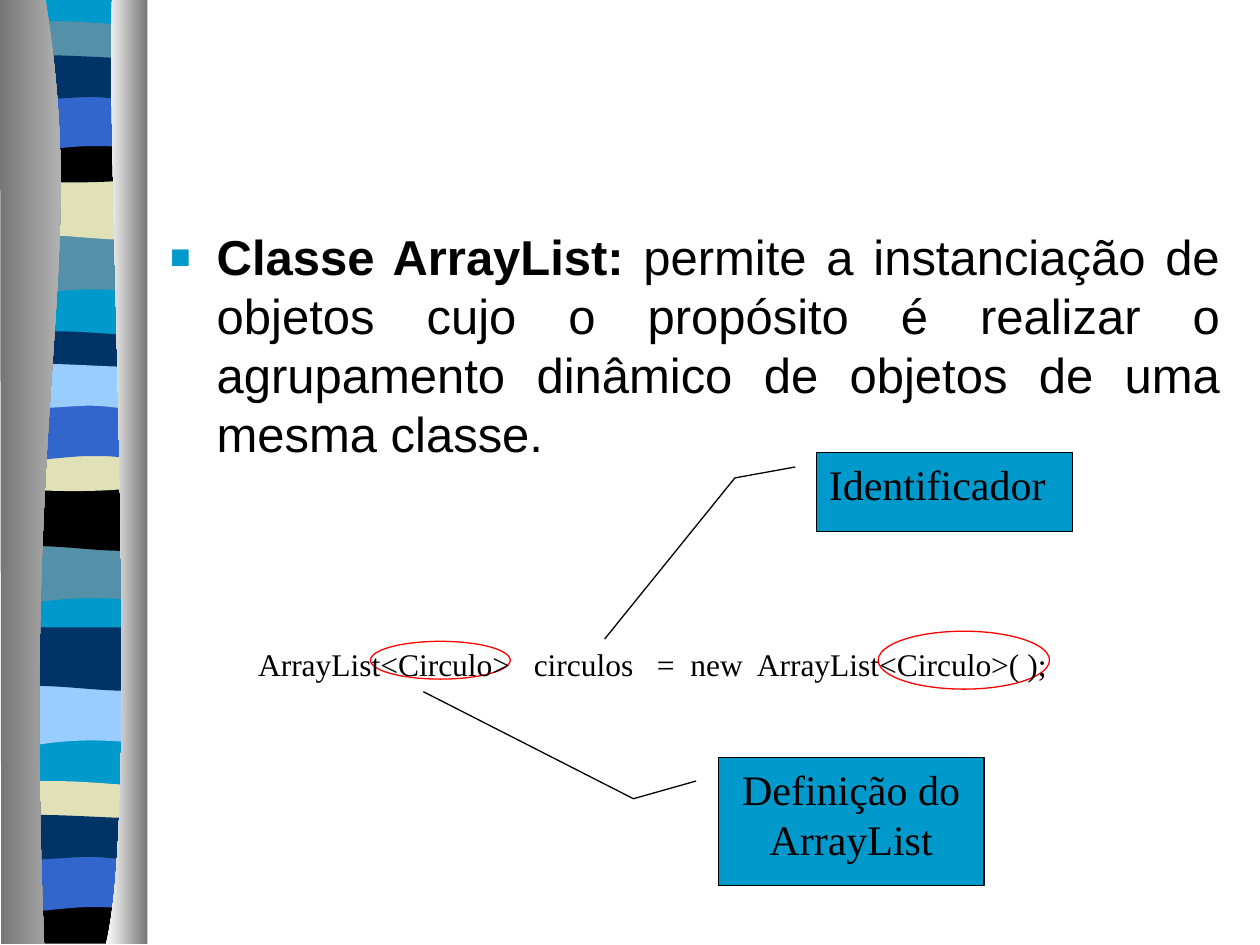
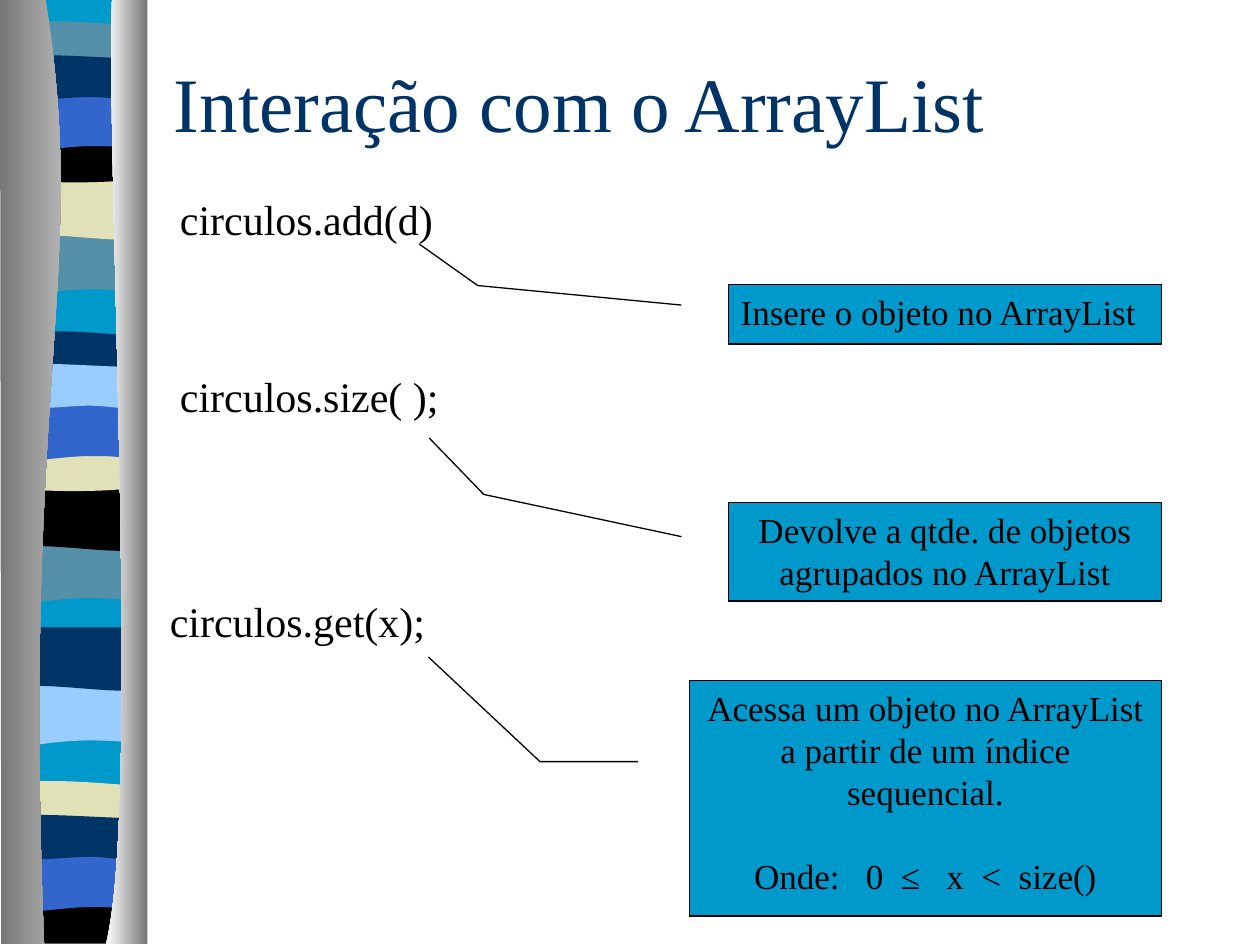
from dataclasses import dataclass

import pptx
import pptx.dml.color
import pptx.enum.shapes
import pptx.enum.text
import pptx.oxml
import pptx.oxml.ns
import pptx.util

Inches = pptx.util.Inches
Pt = pptx.util.Pt
Align = pptx.enum.text.PP_ALIGN
Anchor = pptx.enum.text.MSO_ANCHOR
Shape = pptx.enum.shapes.MSO_SHAPE
qn = pptx.oxml.ns.qn

COLORS = {
    "cyan": "0099CC",
    "teal": "5490A8",
    "sand": "E1E1B7",
    "black": "000000",
    "blue": "3366CC",
    "navy": "003366",
    "sky": "99CCFF",
    "red": "FF0000",
    "gray": "767676",
    "silver": "D0D0D0",
    "white": "FFFFFF",
}
SERIF = "Times New Roman"
SANS = "Arial"

Point = tuple[float, float]
Outline = list[tuple[Point, ...]]

WAVES: dict[str, Outline] = {
    "dip": [((1.07, 0),), ((1.07, 0.47),),
            ((0.33, 0.39), (0.18, 0.55), (0, 0.47)), ((0, 0),)],
    "swell": [((1.07, 0),), ((1.07, 0.48),),
              ((0.9, 0.55), (0.33, 0.42), (0, 0.48)), ((0, 0),)],
    "ribbon": [((1.07, 0.05),), ((1.07, 0.29),),
               ((0.9, 0.33), (0.18, 0.33), (0, 0.29)), ((0, 0.05),),
               ((0.07, 0), (0.24, 0.01), (0.42, 0.01)),
               ((0.6, 0.01), (0.94, 0.04), (1.07, 0.05))],
    "bowl": [((1.07, 0),), ((1.07, 0.33),),
             ((0.89, 0.38), (0.18, 0.38), (0, 0.33)), ((0, 0),),
             ((0.66, 0.05), (0.85, 0), (1.07, 0))],
    "base": [((1.07, 0),), ((1.07, 7.47),), ((0, 7.47),), ((0, 0),)],
    "floor": [((1.07, 0),), ((1.07, 0.37),), ((0, 0.37),), ((0, 0),),
              ((0.66, 0.05), (0.85, 0), (1.07, 0))],
    "arch": [((1.07, 0),), ((1.07, 0.47),),
             ((0.91, 0.42), (0.84, 0.42), (0.66, 0.42)),
             ((0.48, 0.42), (0.17, 0.47), (0, 0.47)), ((0, 0),)],
    "flag": [((1.07, 0.05),), ((1.07, 0.36),),
             ((1.01, 0.41), (0.84, 0.36), (0.66, 0.36)),
             ((0.48, 0.36), (0.11, 0.41), (0, 0.36)), ((0, 0.05),),
             ((0.15, 0), (0.73, 0.05), (0.91, 0.05)),
             ((1.09, 0.05), (1.04, 0.05), (1.07, 0.05))],
}
LEFT: Outline = [((0.36, 0),), ((0.71, 2.16), (0.17, 2.96), (0.35, 7.49)),
                 ((0.01, 7.49),), ((0, 0),)]
RIGHT: Outline = [((0.89, 0),), ((0.84, 1.25), (1.12, 6.46), (0.84, 7.49)),
                  ((1.17, 7.49),), ((1.17, 0),)]


@dataclass
class Band:
    wave: str
    top: float
    color: str
    left: float = 0.05


@dataclass
class Label:
    text: str
    left: float
    top: float
    width: float
    height: float
    size: int


@dataclass
class Callout:
    lines: list[str]
    left: float
    top: float
    width: float
    height: float
    size: int
    bends: list[float]
    align: Align = Align.CENTER


@dataclass
class Ring:
    left: float
    top: float
    width: float
    height: float


BANDS = [
    Band("base", 0, "cyan", 0.06),
    Band("dip", 1.85, "teal", 0.06),
    Band("swell", 1.4, "sand", 0.06),
    Band("ribbon", 0.16, "teal", 0.06),
    Band("bowl", 1.08, "black", 0.06),
    Band("arch", 0.74, "blue", 0.06),
    Band("flag", 0.41, "navy", 0.06),
    Band("dip", 4.3, "teal"),
    Band("swell", 3.87, "black"),
    Band("ribbon", 2.62, "navy"),
    Band("bowl", 3.53, "sand"),
    Band("arch", 3.2, "blue"),
    Band("flag", 2.86, "sky"),
    Band("dip", 5.43, "sky"),
    Band("swell", 4.98, "navy", 0.06),
    Band("ribbon", 6.19, "sand"),
    Band("floor", 7.12, "black"),
    Band("arch", 6.78, "blue"),
    Band("flag", 6.44, "navy"),
]

PARTS = [
    Callout(["Identificador"], 6.48, 3.59, 2.03, 0.63, 24,
            [0.185, -0.083, 0.323, -0.319, 2.353, -0.828], Align.LEFT),
    Callout(["Definição do ArrayList"], 5.7, 6.01, 2.11, 1.02, 24,
            [0.185, -0.083, 0.323, -0.319, -0.51, -1.109]),
]
RINGS = [Ring(2.94, 5.09, 1.11, 0.3), Ring(6.97, 5.01, 1.36, 0.46)]
CODE = Label("ArrayList<Circulo>   circulos   =  new  ArrayList<Circulo>( );",
             1.95, 5.07, 7.5, 0.4, 18)

CALLS = [
    Label("circulos.add(d)", 1.33, 1.49, 3.36, 0.51, 24),
    Label("circulos.size( );", 1.33, 2.89, 3.36, 0.51, 24),
    Label("circulos.get(x);", 1.25, 4.68, 3.36, 0.51, 24),
]
NOTES = [
    Callout(["Insere o objeto no ArrayList"], 5.78, 2.26, 3.44, 0.47, 20,
            [0.345, -0.108, 0.015, -0.578, -0.687, -0.713], Align.LEFT),
    Callout(["Devolve a qtde. de objetos agrupados no ArrayList"],
            5.78, 3.99, 3.44, 0.78, 20,
            [0.345, -0.108, -0.085, -0.564, -0.66, -0.69]),
    Callout(["Acessa um objeto no ArrayList a partir de um índice sequencial.",
             "Onde:   0  ≤   x  <  size()"], 5.47, 5.4, 3.75, 1.87, 20,
            [0.345, -0.108, 0.345, -0.316, -0.099, -0.552]),
]


def tint(name: str) -> pptx.dml.color.RGBColor:
    return pptx.dml.color.RGBColor.from_string(COLORS[name])


def place(item) -> tuple:
    return tuple(Inches(n) for n in (item.left, item.top, item.width, item.height))


def style(para, size: int, face: str = SERIF, color: str = "black") -> None:
    for run in para.runs:
        run.font.size = Pt(size)
        run.font.name = face
        run.font.color.rgb = tint(color)


def bend(shape, outline: Outline) -> None:
    lines = iter(list(shape._element.iter(qn("a:lnTo"))))
    for part in outline[1:]:
        first, *rest = [next(lines) for _ in part]
        if rest:
            first.tag = qn("a:cubicBezTo")
            for line in rest:
                first.append(line[0])
                line.getparent().remove(line)


def trace(group, outline: Outline, left: float = 0, top: float = 0):
    points = [(Inches(left + x), Inches(top + y))
              for part in outline for x, y in part]
    pen = group.shapes.build_freeform(*points[0])
    pen.add_line_segments(points[1:], close=True)
    shape = pen.convert_to_shape()
    bend(shape, outline)
    shape.shadow.inherit = False
    shape.line.fill.background()
    return shape


def draw_post(group, outline: Outline, start: str, end: str) -> None:
    fill = trace(group, outline).fill
    fill.gradient()
    fill.gradient_angle = 0
    for stop, color in zip(fill.gradient_stops, (start, end)):
        stop.color.rgb = tint(color)


def draw_side(slide, master) -> None:
    group = slide.shapes.add_group_shape()
    for band in BANDS:
        shape = trace(group, WAVES[band.wave], band.left, band.top)
        shape.fill.solid()
        shape.fill.fore_color.rgb = tint(band.color)
    draw_post(group, LEFT, "gray", "silver")
    draw_post(group, RIGHT, "white", "gray")
    for index, node in enumerate(group._element.iter(qn("p:cNvPr")), 100):
        node.set("id", str(index))
    master.shapes._spTree.insert(2, group._element)


def draw_label(slide, label: Label) -> None:
    frame = slide.shapes.add_textbox(*place(label)).text_frame
    frame.word_wrap = True
    frame.text = label.text
    style(frame.paragraphs[0], label.size)


def draw_note(slide, note: Callout) -> None:
    shape = slide.shapes.add_shape(Shape.LINE_CALLOUT_2, *place(note))
    shape.shadow.inherit = False
    shape.fill.solid()
    shape.fill.fore_color.rgb = tint("cyan")
    shape.line.color.rgb = tint("black")
    shape.line.width = Pt(0.75)
    for index, value in enumerate(note.bends):
        shape.adjustments[index] = value
    frame = shape.text_frame
    frame.word_wrap = True
    frame.vertical_anchor = Anchor.TOP
    frame.text = "\n".join(note.lines)
    for index, para in enumerate(frame.paragraphs):
        para.alignment = note.align
        para.space_before = Pt(24 if index else 0)
        style(para, note.size)


def draw_ring(slide, ring: Ring) -> None:
    shape = slide.shapes.add_shape(Shape.OVAL, *place(ring))
    shape.shadow.inherit = False
    shape.fill.background()
    shape.line.color.rgb = tint("red")
    shape.line.width = Pt(0.75)


def add_mark(para) -> None:
    props = para._p.get_or_add_pPr()
    props.set("marL", str(Inches(0.37)))
    props.set("indent", str(-Inches(0.37)))
    space = pptx.oxml.ns.nsdecls("a")
    for mark in (
        f'<a:buClr {space}><a:srgbClr val="{COLORS["cyan"]}"/></a:buClr>',
        f'<a:buSzPct {space} val="70000"/>',
        f'<a:buFont {space} typeface="{SANS}"/>',
        f'<a:buChar {space} char="■"/>',
    ):
        props.append(pptx.oxml.parse_xml(mark))


def fit(holder, left: float, top: float, width: float, height: float):
    holder.left, holder.top = Inches(left), Inches(top)
    holder.width, holder.height = Inches(width), Inches(height)
    frame = holder.text_frame
    frame.auto_size = pptx.enum.text.MSO_AUTO_SIZE.NONE
    return frame


def build_class(deck) -> None:
    slide = deck.slides.add_slide(deck.slide_layouts[1])
    title = slide.shapes.title._element
    title.getparent().remove(title)
    draw_side(slide, deck.slide_master)
    frame = fit(slide.placeholders[1], 1.25, 1.75, 8.53, 2.39)
    para = frame.paragraphs[0]
    para.alignment = Align.JUSTIFY
    para.space_before = Pt(7)
    add_mark(para)
    for text, bold in (
        ("Classe ArrayList: ", True),
        ("permite a instanciação de objetos cujo o propósito é realizar o "
         "agrupamento dinâmico de objetos de uma mesma classe.", False),
    ):
        run = para.add_run()
        run.text = text
        run.font.bold = bold
    style(para, 28, SANS)
    for part in PARTS:
        draw_note(slide, part)
    for ring in RINGS:
        draw_ring(slide, ring)
    draw_label(slide, CODE)


def build_calls(deck) -> None:
    slide = deck.slides.add_slide(deck.slide_layouts[5])
    frame = fit(slide.shapes.title, 1.28, 0.32, 8.5, 0.98)
    frame.vertical_anchor = Anchor.MIDDLE
    frame.text = "Interação com o ArrayList"
    frame.paragraphs[0].alignment = Align.LEFT
    style(frame.paragraphs[0], 44, SERIF, "navy")
    for call, note in zip(CALLS, NOTES):
        draw_label(slide, call)
        draw_note(slide, note)


def main() -> None:
    deck = pptx.Presentation()
    deck.slide_width, deck.slide_height = Inches(10), Inches(7.5)
    build_class(deck)
    build_calls(deck)
    deck.save("out.pptx")


if __name__ == "__main__":
    main()
